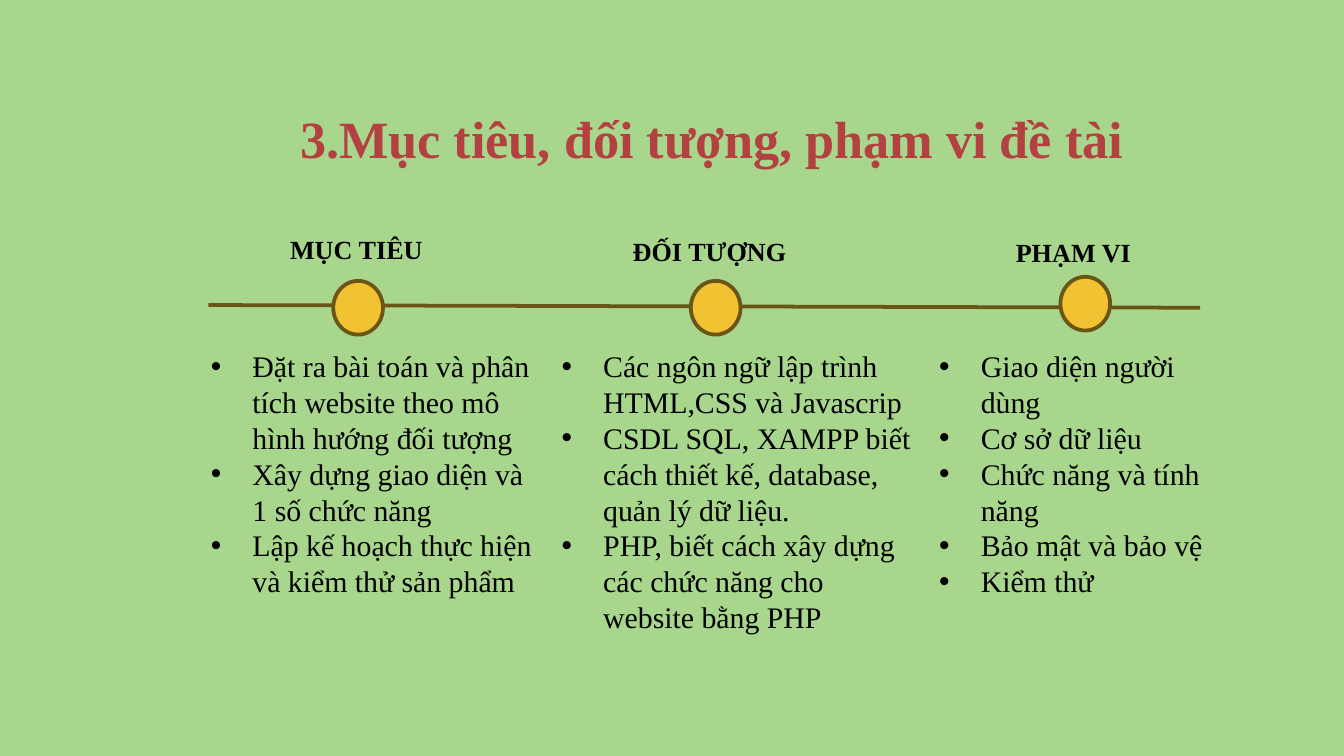
import pptx
import pptx.util
import pptx.dml.color
import pptx.enum.shapes
import pptx.enum.text
import pptx.oxml
import pptx.oxml.ns

Inches = pptx.util.Inches
Pt = pptx.util.Pt
RGBColor = pptx.dml.color.RGBColor

GREEN = RGBColor(0xA8, 0xD6, 0x8C)
RED = RGBColor(0xB4, 0x41, 0x41)
BROWN = RGBColor(0x6A, 0x55, 0x16)
YELLOW = RGBColor(0xF1, 0xC2, 0x32)
BLACK = RGBColor(0, 0, 0)
FONT = "Times New Roman"

COLUMNS = [
    ("MỤC TIÊU", (2.06, 1.69, 1.2), (2.48, 2.09), (1.47, 2.61, 1.99), [
        "Đặt ra bài toán và phân tích website theo mô hình hướng đối tượng",
        "Xây dựng giao diện và 1 số chức năng",
        "Lập kế hoạch thực hiện và kiểm thử sản phẩm",
    ]),
    ("ĐỐI TƯỢNG", (4.61, 1.7, 1.36), (5.14, 2.09), (4.08, 2.81, 2.26), [
        "Các ngôn ngữ lập trình HTML,CSS và Javascrip",
        "CSDL SQL, XAMPP biết cách thiết kế, database, quản lý dữ liệu.",
        "PHP, biết cách xây dựng các chức năng cho website bằng PHP",
    ]),
    ("PHẠM VI", (7.46, 1.71, 1.07), (7.89, 2.06), (6.89, 2.37, 1.99), [
        "Giao diện người dùng",
        "Cơ sở dữ liệu",
        "Chức năng và tính năng",
        "Bảo mật và bảo vệ",
        "Kiểm thử",
    ]),
]


def style(paragraph, size, color, bold=False):
    for run in paragraph.runs:
        run.font.name = FONT
        run.font.size = Pt(size)
        run.font.color.rgb = color
        run.font.bold = bold


def add_bullet(paragraph):
    properties = paragraph._p.get_or_add_pPr()
    properties.set("marL", str(Inches(0.31)))
    properties.set("indent", str(-Inches(0.31)))
    namespace = pptx.oxml.ns.nsdecls("a")
    for xml in (
        f'<a:buClr {namespace}><a:srgbClr val="{BLACK}"/></a:buClr>',
        f'<a:buFont {namespace} typeface="Arial"/>',
        f'<a:buChar {namespace} char="•"/>',
    ):
        properties.append(pptx.oxml.parse_xml(xml))


presentation = pptx.Presentation()
presentation.slide_width = Inches(10)
presentation.slide_height = Inches(10) * 9 // 16
slide = presentation.slides.add_slide(presentation.slide_layouts[6])
slide.background.fill.solid()
slide.background.fill.fore_color.rgb = GREEN

title = slide.shapes.add_textbox(Inches(1.95), Inches(0.78), Inches(6.69), Inches(0.67))
title_frame = title.text_frame
title_frame.word_wrap = True
title_frame.margin_top = title_frame.margin_bottom = Inches(0.1)
title_frame.text = "3.Mục tiêu, đối tượng, phạm vi đề tài"
title_frame.paragraphs[0].alignment = pptx.enum.text.PP_ALIGN.CENTER
title_frame.paragraphs[0].line_spacing = 0.8
style(title_frame.paragraphs[0], 28, RED, True)

timeline = slide.shapes.add_connector(
    pptx.enum.shapes.MSO_CONNECTOR.STRAIGHT,
    Inches(1.55), Inches(2.27), Inches(8.93), Inches(2.29))
timeline.line.color.rgb = BROWN
timeline.line.width = Pt(2)
timeline._element.spPr.append(pptx.oxml.parse_xml(
    f'<a:effectLst {pptx.oxml.ns.nsdecls("a")}/>'))

for label, (label_x, label_y, label_width), (marker_x, marker_y), (list_x, list_width, list_height), items in COLUMNS:
    marker = slide.shapes.add_shape(
        pptx.enum.shapes.MSO_SHAPE.OVAL,
        Inches(marker_x), Inches(marker_y), Inches(0.37), Inches(0.4))
    marker.shadow.inherit = False
    marker.fill.solid()
    marker.fill.fore_color.rgb = YELLOW
    marker.line.color.rgb = BROWN
    marker.line.width = Pt(2)

    heading = slide.shapes.add_textbox(
        Inches(label_x), Inches(label_y), Inches(label_width), Inches(0.34))
    heading.text_frame.word_wrap = False
    heading.text_frame.auto_size = pptx.enum.text.MSO_AUTO_SIZE.SHAPE_TO_FIT_TEXT
    heading.text_frame.text = label
    style(heading.text_frame.paragraphs[0], 14, BLACK, True)

    details = slide.shapes.add_textbox(
        Inches(list_x), Inches(2.54), Inches(list_width), Inches(list_height))
    details.text_frame.word_wrap = True
    details.text_frame.auto_size = pptx.enum.text.MSO_AUTO_SIZE.SHAPE_TO_FIT_TEXT
    details.text_frame.text = "\n".join(items)
    for paragraph in details.text_frame.paragraphs:
        add_bullet(paragraph)
        style(paragraph, 16, BLACK)

presentation.save("out.pptx")
